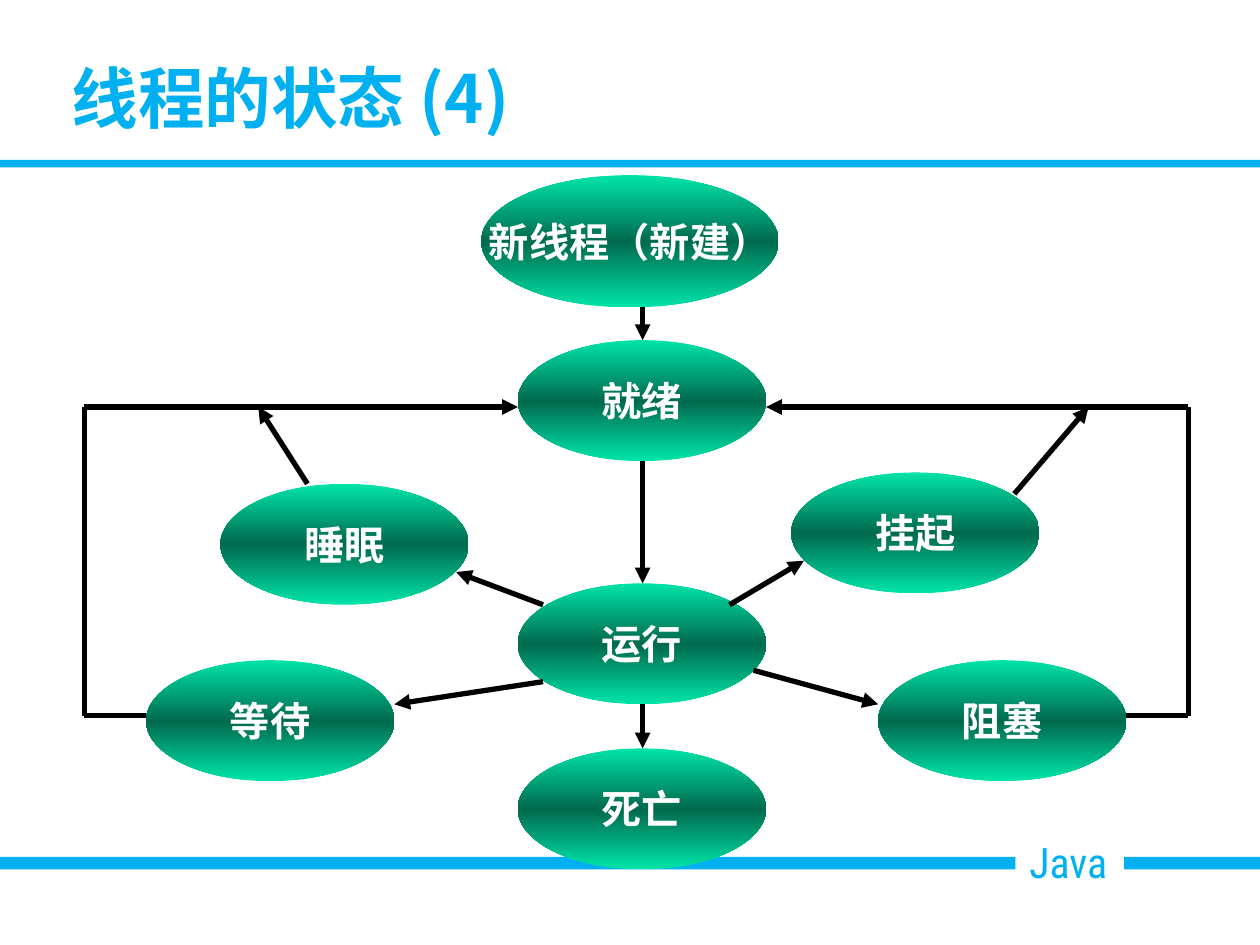
from copy import deepcopy

from lxml.etree import SubElement
from pptx import Presentation
from pptx.dml.color import RGBColor as Rgb
from pptx.enum.shapes import MSO_CONNECTOR as Conn, MSO_SHAPE as Geo
from pptx.enum.text import MSO_ANCHOR as Anchor, MSO_AUTO_SIZE as Auto, PP_ALIGN as Align
from pptx.oxml.ns import qn
from pptx.util import Inches, Pt

COLORS = {"sky": "00B0F0", "white": "FFFFFF", "black": "000000",
          "mint": "00E4A8", "pine": "006A4E"}
HAN = "Noto Sans CJK SC"
FONTS = {
    "title": {"name": HAN, "size": Pt(38), "bold": True},
    "brand": {"name": "Roboto Condensed", "size": Pt(24), "bold": False},
    "state": {"name": "Arial", "size": Pt(23), "bold": True},
}
FRAME = {"margin_left": Inches(0.11), "margin_right": Inches(0.11),
         "margin_top": Inches(0.06), "margin_bottom": Inches(0.06),
         "auto_size": Auto.NONE}
WIDE, HIGH = 1.97, 0.96
STATES = [
    ("挂起", 5.61, 2.36, WIDE, HIGH),
    ("新线程（新建）", 3.15, 0, 2.36, 1.05),
    ("就绪", 3.44, 1.31, WIDE, HIGH),
    ("运行", 3.44, 3.24, WIDE, HIGH),
    ("死亡", 3.44, 4.55, WIDE, HIGH),
    ("睡眠", 1.08, 2.45, WIDE, HIGH),
    ("等待", 0.49, 3.85, WIDE, HIGH),
    ("阻塞", 6.3, 3.85, WIDE, HIGH),
]
ARROWS = [
    (4.43, 1.05, 4.43, 1.31), (4.43, 2.27, 4.43, 3.24), (4.43, 4.2, 4.43, 4.55),
    (3.64, 4.02, 2.46, 4.2), (5.31, 3.93, 6.3, 4.2),
    (5.12, 3.41, 5.71, 3.06), (3.64, 3.41, 2.95, 3.15),
    (1.77, 2.45, 1.38, 1.84), (7.38, 2.53, 7.97, 1.84),
]
LOOPS = [
    [(0.49, 4.29), (0, 4.29), (0, 1.84), (3.44, 1.84)],
    [(8.27, 4.29), (8.76, 4.29), (8.76, 1.84), (5.41, 1.84)],
]


def tint(name):
    return Rgb.from_string(COLORS[name])


def assign(item, values):
    for key, value in values.items():
        setattr(item, key, value)


def write(shape, text, style, color, align, wrap=False):
    frame = shape.text_frame
    assign(frame, FRAME | {"word_wrap": wrap, "vertical_anchor": Anchor.MIDDLE})
    para = frame.paragraphs[0]
    para.alignment = align
    run = para.add_run()
    run.text = text
    assign(run.font, FONTS[style])
    run.font.color.rgb = tint(color)
    SubElement(run.font._element, qn("a:ea"), typeface=HAN)


def block(slide, kind, left, top, wide, high, color):
    shape = slide.shapes.add_shape(kind, *map(Inches, (left, top, wide, high)))
    shape.shadow.inherit = False
    shape.line.fill.background()
    shape.fill.solid()
    shape.fill.fore_color.rgb = tint(color)
    return shape


def shade(shape):
    fill = shape.fill
    fill.gradient()
    fill.gradient_angle = 90
    stops = shape._element.spPr.find(qn("a:gradFill")).find(qn("a:gsLst"))
    stops.insert(1, deepcopy(stops[0]))
    for stop, place, name in zip(fill.gradient_stops, (0, 0.5, 1), ("mint", "pine", "mint")):
        stop.position = place
        stop.color.rgb = tint(name)


def link(slide, x1, y1, x2, y2, head=True):
    line = slide.shapes.add_connector(Conn.STRAIGHT, *map(Inches, (x1, y1, x2, y2)))
    line.line.width = Pt(3)
    line.line.color.rgb = tint("black")
    if head:
        SubElement(line.line._get_or_add_ln(), qn("a:tailEnd"), type="triangle")
    SubElement(line._element.spPr, qn("a:effectLst"))


def header(slide, left, top, wide, high):
    title = slide.shapes.title
    assign(title, {"left": Inches(left + 0.46), "top": Inches(top + 0.47),
                   "width": Inches(wide - 1), "height": Inches(0.59)})
    write(title, "线程的状态 (4)", "title", "sky", Align.LEFT, True)
    block(slide, Geo.RECTANGLE, left, top + high - 0.06, wide, 0.06, "sky")


def footer(slide, left, top, wide, high):
    block(slide, Geo.RECTANGLE, left, top + 0.22, wide, 0.1, "sky")
    label = block(slide, Geo.RECTANGLE, left + 8.06, top, 0.86, high, "white")
    write(label, "Java", "brand", "sky", Align.LEFT)


def diagram(slide, left, top):
    for text, x, y, wide, high in STATES:
        state = block(slide, Geo.OVAL, left + x, top + y, wide, high, "mint")
        shade(state)
        write(state, text, "state", "white", Align.CENTER)
    for x1, y1, x2, y2 in ARROWS:
        link(slide, left + x1, top + y1, left + x2, top + y2)
    for loop in LOOPS:
        for (x1, y1), (x2, y2) in zip(loop, loop[1:]):
            link(slide, left + x1, top + y1, left + x2, top + y2, (x2, y2) == loop[-1])


def main():
    deck = Presentation()
    deck.slide_width, deck.slide_height = Inches(10), Inches(7.5)
    slide = deck.slides.add_slide(deck.slide_layouts[5])
    footer(slide, 0, 6.58, 10, 0.51)
    header(slide, 0, 0, 10, 1.33)
    diagram(slide, 0.67, 1.39)
    deck.save("out.pptx")


if __name__ == "__main__":
    main()
